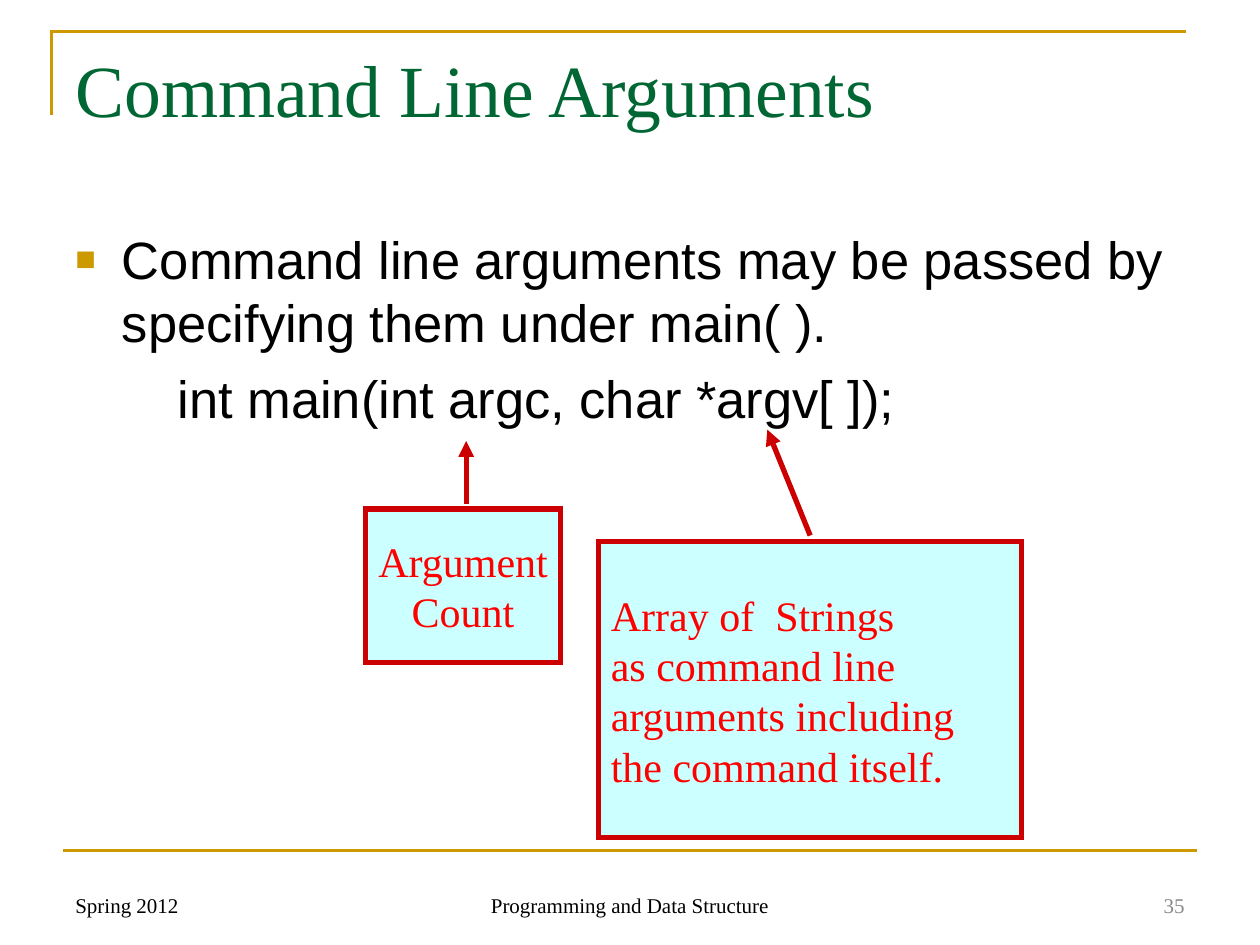
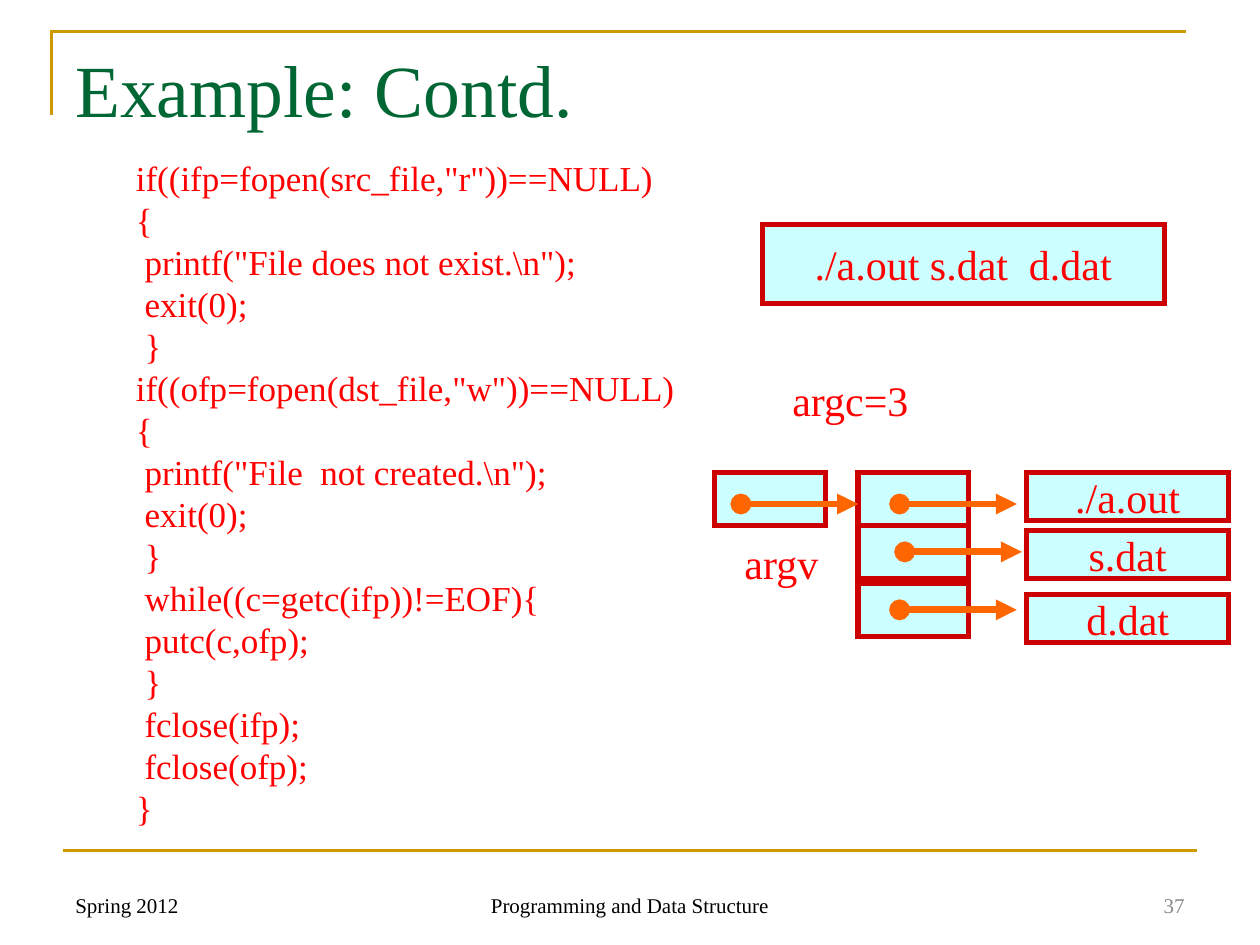
from lxml.etree import SubElement
from pptx import Presentation
from pptx.dml.color import RGBColor
from pptx.enum.shapes import MSO_CONNECTOR as Connector, MSO_SHAPE as Shape
from pptx.enum.text import MSO_ANCHOR as Anchor, PP_ALIGN as Align
from pptx.oxml.ns import qn
from pptx.util import Inches, Pt

GOLD, GREEN, RED, DARK_RED = "CC9900", "006633", "FF0000", "CC0000"
CYAN, ORANGE, BLACK, GRAY = "CCFFFF", "FF6600", "000000", "898989"
SERIF, SANS = "Times New Roman", "Arial"

CODE = r'''if((ifp=fopen(src_file,"r"))==NULL)
{
 printf("File does not exist.\n");
 exit(0);
 }
if((ofp=fopen(dst_file,"w"))==NULL)
{
 printf("File  not created.\n");
 exit(0);
 }
 while((c=getc(ifp))!=EOF){
 putc(c,ofp);
 }
 fclose(ifp);
 fclose(ofp);
}'''


def color(value):
    return RGBColor.from_string(value)


def apply(target, **values):
    for name, value in values.items():
        setattr(target, name, value)


def style_line(line, value, width):
    line.color.rgb = color(value)
    line.width = Pt(width)
    outline = line._get_or_add_ln()
    SubElement(outline, qn("a:miter"), lim="800000")
    return outline


def fill_text(frame, text, size=24, value=RED, font=SERIF, align=Align.LEFT,
              anchor=Anchor.TOP, wrap=False):
    apply(frame, word_wrap=wrap, vertical_anchor=anchor,
          margin_left=Inches(0.1), margin_right=Inches(0.1),
          margin_top=Inches(0.05), margin_bottom=Inches(0.05))
    for index, content in enumerate(text.split("\n")):
        para = frame.paragraphs[0] if index == 0 else frame.add_paragraph()
        para.alignment = align
        span = para.add_run()
        span.text = content
        apply(span.font, size=Pt(size), name=font)
        span.font.color.rgb = color(value)


def add_label(page, box, text, **style):
    label = page.shapes.add_textbox(*map(Inches, box))
    fill_text(label.text_frame, text, **style)
    return label


def add_panel(page, box, text="", align=Align.CENTER, wrap=False):
    panel = page.shapes.add_shape(Shape.RECTANGLE, *map(Inches, box))
    panel.shadow.inherit = False
    panel.fill.solid()
    panel.fill.fore_color.rgb = color(CYAN)
    style_line(panel.line, DARK_RED, 3)
    if text:
        fill_text(panel.text_frame, text, align=align, anchor=Anchor.MIDDLE, wrap=wrap)


def add_line(page, start, end, value, width, head=None, tail=None):
    line = page.shapes.add_connector(Connector.STRAIGHT, *map(Inches, (*start, *end)))
    outline = style_line(line.line, value, width)
    for tag, kind in (("a:headEnd", head), ("a:tailEnd", tail)):
        if kind:
            SubElement(outline, qn(tag), type=kind)
    SubElement(line._element.spPr, qn("a:effectLst"))


def indent(para, left, first=0):
    properties = para._p.get_or_add_pPr()
    properties.set("marL", str(Inches(left)))
    properties.set("indent", str(Inches(first)))
    return properties


def add_bullet(para):
    properties = indent(para, 0.37, -0.37)
    tint = SubElement(properties, qn("a:buClr"))
    SubElement(tint, qn("a:srgbClr"), val=GOLD)
    SubElement(properties, qn("a:buSzPct"), val="65000")
    SubElement(properties, qn("a:buFont"), typeface=SANS)
    SubElement(properties, qn("a:buChar"), char="■")


def add_frame(page, left, top, width, drop):
    corner = page.shapes.build_freeform(Inches(left), Inches(top + drop))
    corner.add_line_segments([(Inches(left), Inches(top)),
                              (Inches(left + width), Inches(top))], close=False)
    bracket = corner.convert_to_shape()
    bracket.shadow.inherit = False
    bracket.fill.background()
    style_line(bracket.line, GOLD, 1.5)


def add_footer(page, left, top, number):
    parts = [
        (0, 2.33, "Spring 2012", BLACK, Align.LEFT),
        (2.92, 3.16, "Programming and Data Structure", BLACK, Align.CENTER),
        (6.67, 2.33, str(number), GRAY, Align.RIGHT),
    ]
    add_line(page, (left, top), (left + 9, top), GOLD, 1.5)
    for offset, width, text, value, align in parts:
        add_label(page, (left + offset, top + 0.08, width, 0.5), text, size=12,
                  value=value, align=align, anchor=Anchor.BOTTOM, wrap=True)


def add_page(deck, title, number):
    page = deck.slides.add_slide(deck.slide_layouts[6])
    add_frame(page, 0.41, 0.25, 9, 0.66)
    add_label(page, (0.5, 0.3, 9, 1.25), title, size=42, value=GREEN, wrap=True)
    add_footer(page, 0.5, 6.75, number)
    return page


def add_callout(page, box, text, start, end, align):
    left, top = box[:2]
    add_panel(page, box, text, align, wrap=align == Align.LEFT)
    add_line(page, (left + start[0], top + start[1]), (left + end[0], top + end[1]),
             DARK_RED, 3, tail="triangle")


def add_signature(page, box):
    text = ("Command line arguments may be passed by specifying them under main( ).\n"
            "int main(int argc, char *argv[ ]);")
    body = add_label(page, box, text, size=30, value=BLACK, font=SANS, wrap=True)
    rule, signature = body.text_frame.paragraphs
    signature.space_before = Pt(7.5)
    add_bullet(rule)
    indent(signature, 0.81)


def add_argument_memory(page, left, top):
    cells = [(0, 0), (1.14, 0), (1.14, 0.42), (1.14, 0.88)]
    strings = [("./a.out", 0), ("s.dat", 0.46), ("d.dat", 0.97)]
    arrows = [(0.21, 0.25), (1.47, 0.25), (1.51, 0.63), (1.47, 1.09)]
    for x, y in cells:
        add_panel(page, (left + x, top + y, 0.88, 0.42))
    for text, y in strings:
        add_panel(page, (left + 2.48, top + y, 1.6, 0.38), text)
    for x, y in arrows:
        add_line(page, (left + x, top + y), (left + x + 0.93, top + y), ORANGE, 4,
                 head="oval", tail="triangle")
    add_label(page, (left + 0.14, top + 0.47, 0.79, 0.5), "argv")


def build_arguments(deck):
    page = add_page(deck, "Command Line Arguments", 35)
    add_signature(page, (0.5, 1.75, 9, 4.95))
    add_callout(page, (2.9, 4.04, 1.55, 1.22), "Argument\nCount",
                (0.8, -0.04), (0.8, -0.54), Align.CENTER)
    add_callout(page, (4.75, 4.3, 3.36, 2.35),
                "Array of  Strings\nas command line\narguments including\nthe command itself.",
                (1.68, -0.05), (1.34, -0.89), Align.LEFT)


def build_example(deck):
    page = add_page(deck, "Example: Contd.", 37)
    add_label(page, (0.98, 1.19, 4.7, 5.77), CODE, size=20, wrap=True)
    add_panel(page, (6.05, 1.78, 3.19, 0.63), "./a.out s.dat  d.dat")
    add_label(page, (6.19, 2.92, 1.13, 0.5), "argc=3")
    add_argument_memory(page, 5.67, 3.75)


def main():
    deck = Presentation()
    apply(deck, slide_width=Inches(10), slide_height=Inches(7.5))
    build_arguments(deck)
    build_example(deck)
    deck.save("out.pptx")


if __name__ == "__main__":
    main()
